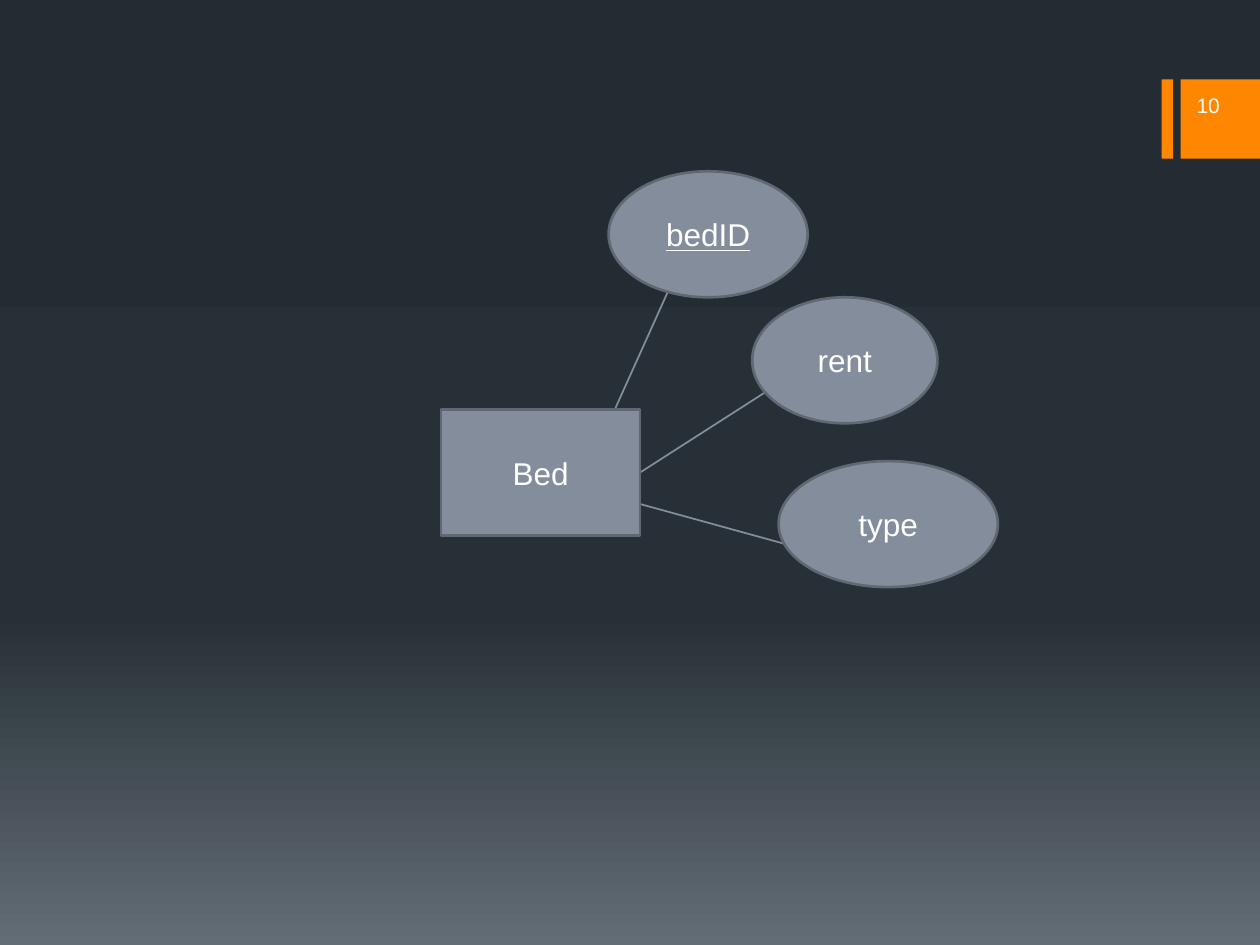
import dataclasses

import lxml.etree
import pptx
import pptx.dml.color
import pptx.enum.shapes
import pptx.enum.text
import pptx.oxml.ns
import pptx.util

SHAPE = pptx.enum.shapes.MSO_SHAPE
ALIGN = pptx.enum.text.PP_ALIGN
COLUMNS, ROWS = 100, 75
CELL = pptx.util.Inches(0.1)


@dataclasses.dataclass(frozen=True)
class Theme:
    """Colours, font and sizes of the deck."""
    backdrop: tuple = ((0, "242C33"), (65, "273037"), (100, "636D76"))
    accent: str = "FF8600"
    node: str = "838D9B"
    outline: str = "616873"
    text: str = "FFFFFF"
    font: str = "Arial"
    label_size: int = 18
    number_size: int = 12
    outline_width: float = 1.5
    link_width: float = 1


@dataclasses.dataclass(frozen=True)
class Box:
    """A region of the slide, in grid cells."""
    left: float
    top: float
    width: float
    height: float

    def inside(self, left, top, width, height):
        """Return a box placed relative to this one."""
        return Box(self.left + left, self.top + top, width, height)

    def point(self, column, row):
        """Return a point of this box in slide units."""
        return round((self.left + column) * CELL), round((self.top + row) * CELL)

    def frame(self):
        """Return left, top, width and height in slide units."""
        return (*self.point(0, 0), round(self.width * CELL), round(self.height * CELL))


THEME = Theme()


def color(value):
    """Return a colour from its hex value."""
    return pptx.dml.color.RGBColor.from_string(value)


def paint_backdrop(slide):
    """Fill the slide from top to bottom with the theme's gradient."""
    fill = slide.background.fill
    fill.gradient()
    fill.gradient_angle = 270
    qn = pptx.oxml.ns.qn
    stops = slide.background._cSld.find(".//" + qn("a:gsLst"))
    for stop in list(stops):
        stops.remove(stop)
    for percent, value in THEME.backdrop:
        stop = lxml.etree.SubElement(stops, qn("a:gs"), pos=str(percent * 1000))
        lxml.etree.SubElement(stop, qn("a:srgbClr"), val=value)


def write(shape, wording, size, align, underline=None):
    """Put one line of text in a shape, centred vertically."""
    frame = shape.text_frame
    frame.word_wrap = True
    frame.vertical_anchor = pptx.enum.text.MSO_ANCHOR.MIDDLE
    paragraph = frame.paragraphs[0]
    paragraph.alignment = align
    run = paragraph.add_run()
    run.text = wording
    run.font.name = THEME.font
    run.font.size = pptx.util.Pt(size)
    run.font.color.rgb = color(THEME.text)
    run.font.underline = underline


def add_block(slide, box, preset, fill, outline=None):
    """Add a flat shape, outlined on request."""
    block = slide.shapes.add_shape(preset, *box.frame())
    block.shadow.inherit = False
    block.fill.solid()
    block.fill.fore_color.rgb = color(fill)
    if outline:
        block.line.color.rgb = color(outline)
        block.line.width = pptx.util.Pt(THEME.outline_width)
    else:
        block.line.fill.background()
    return block


def add_link(slide, box, start, end):
    """Join two points of a box with a thin line."""
    link = slide.shapes.add_connector(
        pptx.enum.shapes.MSO_CONNECTOR.STRAIGHT, *box.point(*start), *box.point(*end))
    link.line.color.rgb = color(THEME.node)
    link.line.width = pptx.util.Pt(THEME.link_width)
    lxml.etree.SubElement(link._element.spPr, pptx.oxml.ns.qn("a:effectLst"))


def add_page_tab(slide, box, number):
    """Draw the accent tab and its page number."""
    for left, width in ((0, 0.9), (1.5, 6.3)):
        add_block(slide, box.inside(left, 0, width, box.height), SHAPE.RECTANGLE, THEME.accent)
    page = slide.shapes.add_textbox(*box.inside(-4.7, 0.4, 10.3, 3.3).frame())
    write(page, number, THEME.number_size, ALIGN.RIGHT)


def add_entity_diagram(slide, box):
    """Draw the entity, its attributes and the links between them."""
    nodes = (
        ("Bed", SHAPE.RECTANGLE, (0, 18.9, 15.8), None),
        ("bedID", SHAPE.OVAL, (13.3, 0, 15.8), True),
        ("rent", SHAPE.OVAL, (24.7, 10, 14.7), None),
        ("type", SHAPE.OVAL, (26.8, 23, 17.4), None),
    )
    links = (
        ((13.3, 20), (18.3, 8.9)),
        ((15.8, 23.9), (27.5, 16.4)),
        ((27.4, 29.6), (15.8, 26.4)),
    )
    for start, end in links:
        add_link(slide, box, start, end)
    for label, preset, place, is_key in nodes:
        node = add_block(slide, box.inside(*place, 10), preset, THEME.node, THEME.outline)
        write(node, label, THEME.label_size, ALIGN.CENTER, is_key)


def build():
    """Build and save the slide."""
    deck = pptx.Presentation()
    deck.slide_width, deck.slide_height = COLUMNS * CELL, ROWS * CELL
    slide = deck.slides.add_slide(deck.slide_layouts[6])
    paint_backdrop(slide)
    add_page_tab(slide, Box(92.2, 6.3, 7.8, 6.3), "10")
    add_entity_diagram(slide, Box(35, 13.6, 44.2, 33))
    deck.save("out.pptx")


build()
